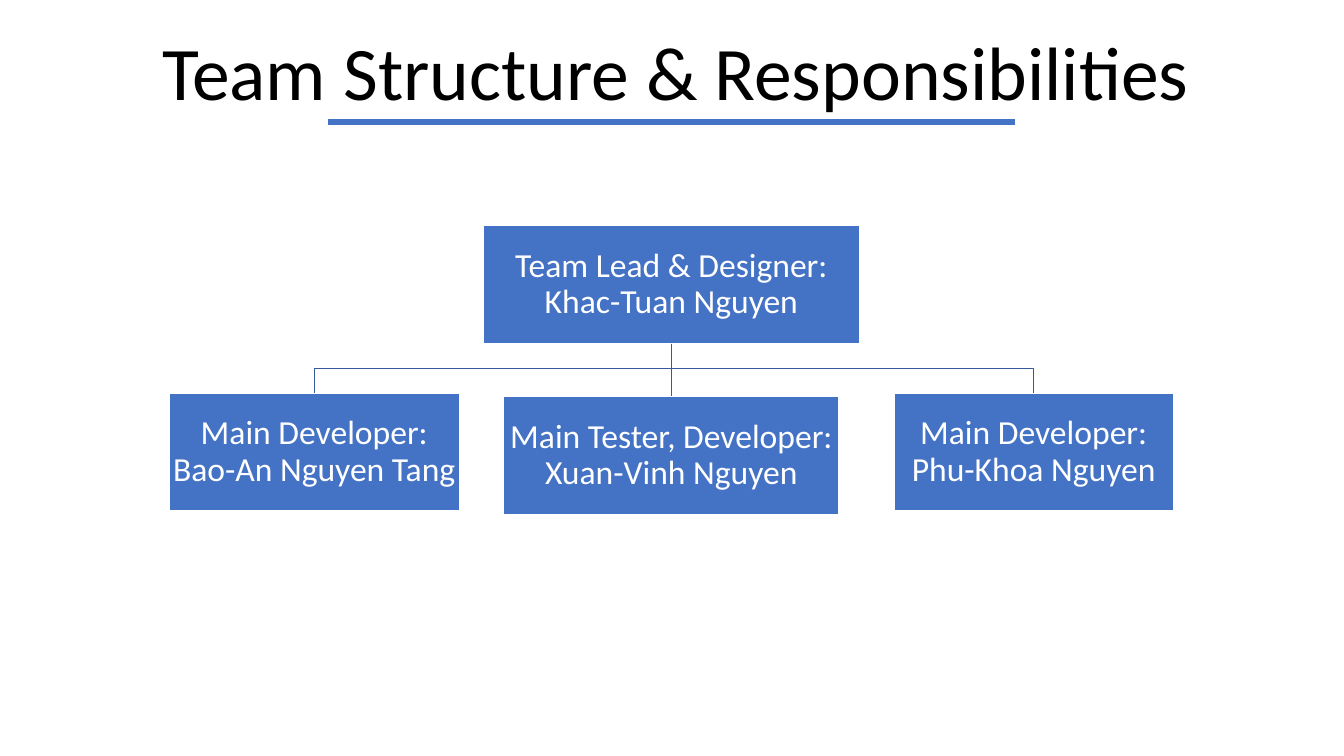
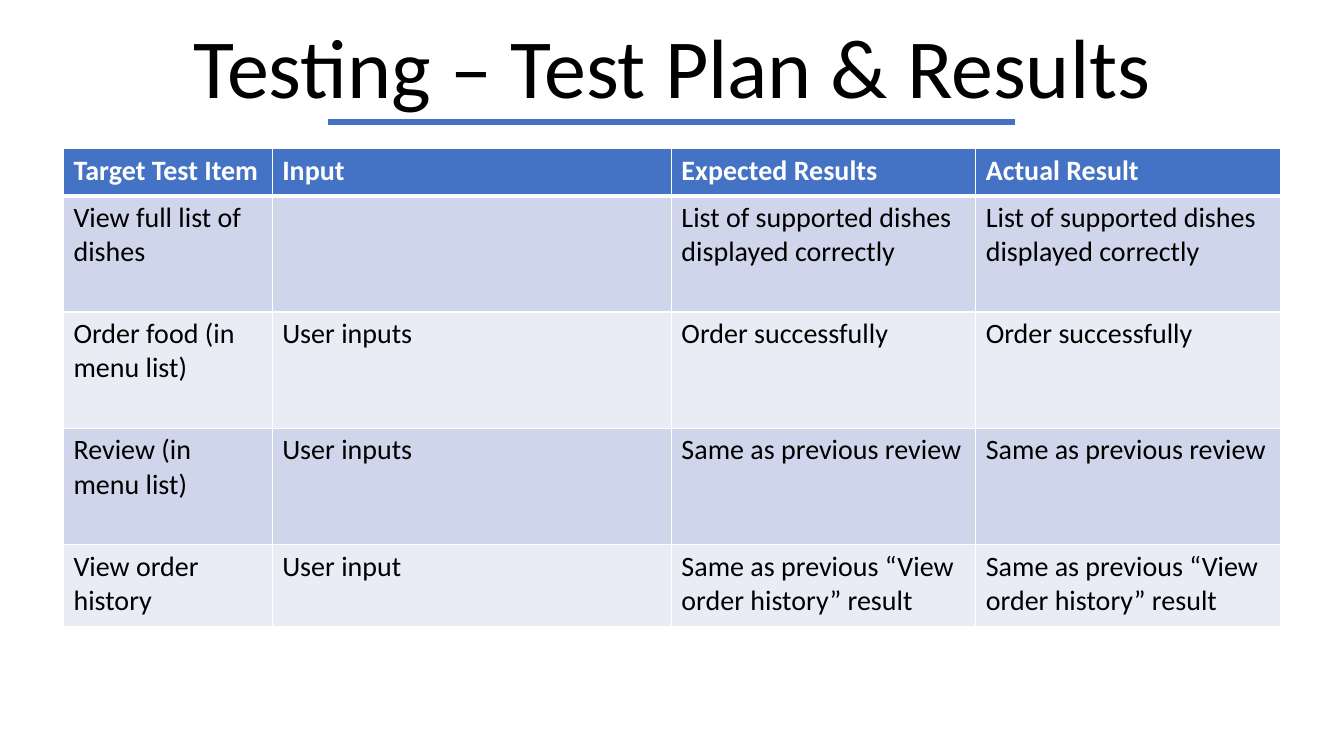
from lxml import etree
from pptx import Presentation
from pptx.dml.color import RGBColor
from pptx.enum import shapes, text
from pptx.oxml.ns import qn
from pptx.util import Cm, Pt

FONT = "Calibri"
BLUE, DARK_BLUE = "4472C4", "365B9D"
WHITE, BLACK = "FFFFFF", "000000"
BANDS = ["CFD5EA", "E9EBF5"]

# Title: text, size, left, width
TEAM_TITLE = ("Team Structure & Responsibilities", 54, 3.81, 26.44)
TEST_TITLE = ("Testing – Test Plan & Results", 60, 4.24, 25.4)

# Chart box: text, centre, top, width
BOX_HEIGHT = 2.97
LEAD = ("Team Lead & Designer: Khac-Tuan Nguyen", 16.92, 5.69, 9.5)
MEMBERS = [
    ("Main Developer: Bao-An Nguyen Tang", 7.92, 9.91, 7.32),
    ("Main Tester, Developer: Xuan-Vinh Nguyen", 16.92, 9.99, 8.46),
    ("Main Developer: Phu-Khoa Nguyen", 26.05, 9.91, 7.04),
]

COLUMN_WIDTHS = [5.26, 10.06, 7.67, 7.67]
ROW_HEIGHTS = [1.19, 2.93, 2.93, 2.93, 2.06]
TEST_ROWS = [
    ("Target Test Item", "Input", "Expected Results", "Actual Result"),
    ("View full list of dishes", "",
     "List of supported dishes displayed correctly",
     "List of supported dishes displayed correctly"),
    ("Order food (in menu list)", "User inputs",
     "Order successfully", "Order successfully"),
    ("Review (in menu list)", "User inputs",
     "Same as previous review", "Same as previous review"),
    ("View order history", "User input",
     "Same as previous “View order history” result",
     "Same as previous “View order history” result"),
]


def rgb(value):
    return RGBColor.from_string(value)


def set_line(sp, color, width):
    sp.line.color.rgb = rgb(color)
    sp.line.width = Pt(width)


def write(tf, content, size, color, bold=False):
    p = tf.paragraphs[0]
    r = p.add_run()
    r.text = content
    r.font.name, r.font.size, r.font.bold = FONT, Pt(size), bold
    r.font.color.rgb = rgb(color)
    return p


def write_centred(tf, content, size, color, anchor):
    tf.word_wrap = True
    tf.auto_size = text.MSO_AUTO_SIZE.NONE
    tf.vertical_anchor = anchor
    p = write(tf, content, size, color)
    p.alignment = text.PP_ALIGN.CENTER
    p.line_spacing = 0.9


def add_line(slide, x1, y1, x2, y2, color, width):
    line = slide.shapes.add_connector(
        shapes.MSO_CONNECTOR.STRAIGHT, Cm(x1), Cm(y1), Cm(x2), Cm(y2))
    set_line(line, color, width)
    etree.SubElement(line._element.spPr, qn("a:effectLst"))
    return line


def add_titled_slide(prs, title, size, left, width):
    slide = prs.slides.add_slide(prs.slide_layouts[5])
    sp = slide.shapes.title
    sp.left, sp.top, sp.width, sp.height = Cm(left), Cm(0.5), Cm(width), Cm(2.57)
    write_centred(sp.text_frame, title, size, BLACK, text.MSO_ANCHOR.BOTTOM)
    add_line(slide, 8.26, 3.07, 25.58, 3.07, BLUE, 4)
    return slide


def add_box(slide, label, centre, top, width):
    sp = slide.shapes.add_shape(
        shapes.MSO_SHAPE.RECTANGLE,
        Cm(centre - width / 2), Cm(top), Cm(width), Cm(BOX_HEIGHT))
    sp.shadow.inherit = False
    sp.fill.solid()
    sp.fill.fore_color.rgb = rgb(BLUE)
    set_line(sp, WHITE, 1)
    tf = sp.text_frame
    tf.margin_left = tf.margin_right = tf.margin_top = tf.margin_bottom = Cm(0.04)
    write_centred(tf, label, 24, WHITE, text.MSO_ANCHOR.MIDDLE)
    return sp


def add_branch(slide, x1, y1, x2, y2):
    """Draw a down-across-down line that turns halfway."""
    middle = (y1 + y2) / 2
    builder = slide.shapes.build_freeform(Cm(x1), Cm(y1))
    builder.add_line_segments(
        [(Cm(x), Cm(y)) for x, y in [(x1, middle), (x2, middle), (x2, y2)]],
        close=False)
    sp = builder.convert_to_shape()
    sp.shadow.inherit = False
    sp.fill.background()
    set_line(sp, DARK_BLUE, 1)


def add_team_chart(slide):
    lead = add_box(slide, *LEAD)
    lead_x, lead_bottom = LEAD[1], LEAD[2] + BOX_HEIGHT
    for member in MEMBERS:
        x, top = member[1:3]
        box = add_box(slide, *member)
        if x == lead_x:
            line = add_line(slide, x, lead_bottom, x, top, DARK_BLUE, 1)
            line.begin_connect(lead, 2)
            line.end_connect(box, 0)
        else:
            add_branch(slide, lead_x, lead_bottom, x, top)


def set_borders(cell, **widths):
    tc_pr = cell._tc.get_or_add_tcPr()
    for side in "LRTB":
        ln = etree.SubElement(tc_pr, qn("a:ln" + side),
                              w=str(Pt(widths.get(side, 1))))
        fill = etree.SubElement(ln, qn("a:solidFill"))
        etree.SubElement(fill, qn("a:srgbClr"), val=WHITE)


def add_test_table(slide):
    table = slide.shapes.add_table(
        len(TEST_ROWS), len(COLUMN_WIDTHS), Cm(1.6), Cm(3.74),
        Cm(sum(COLUMN_WIDTHS)), Cm(sum(ROW_HEIGHTS))).table
    for column, width in zip(table.columns, COLUMN_WIDTHS):
        column.width = Cm(width)
    for i, (height, row) in enumerate(zip(ROW_HEIGHTS, TEST_ROWS)):
        table.rows[i].height = Cm(height)
        header = i == 0
        for j, content in enumerate(row):
            cell = table.cell(i, j)
            set_borders(cell, B=3 if header else 1, T=3 if i == 1 else 1)
            cell.fill.solid()
            cell.fill.fore_color.rgb = rgb(BLUE if header else BANDS[(i - 1) % 2])
            if content:
                write(cell.text_frame, content, 20,
                      WHITE if header else BLACK, header)


def main():
    prs = Presentation()
    prs.slide_width, prs.slide_height = Cm(33.87), Cm(19.05)
    add_team_chart(add_titled_slide(prs, *TEAM_TITLE))
    add_test_table(add_titled_slide(prs, *TEST_TITLE))
    prs.save("out.pptx")


if __name__ == "__main__":
    main()
